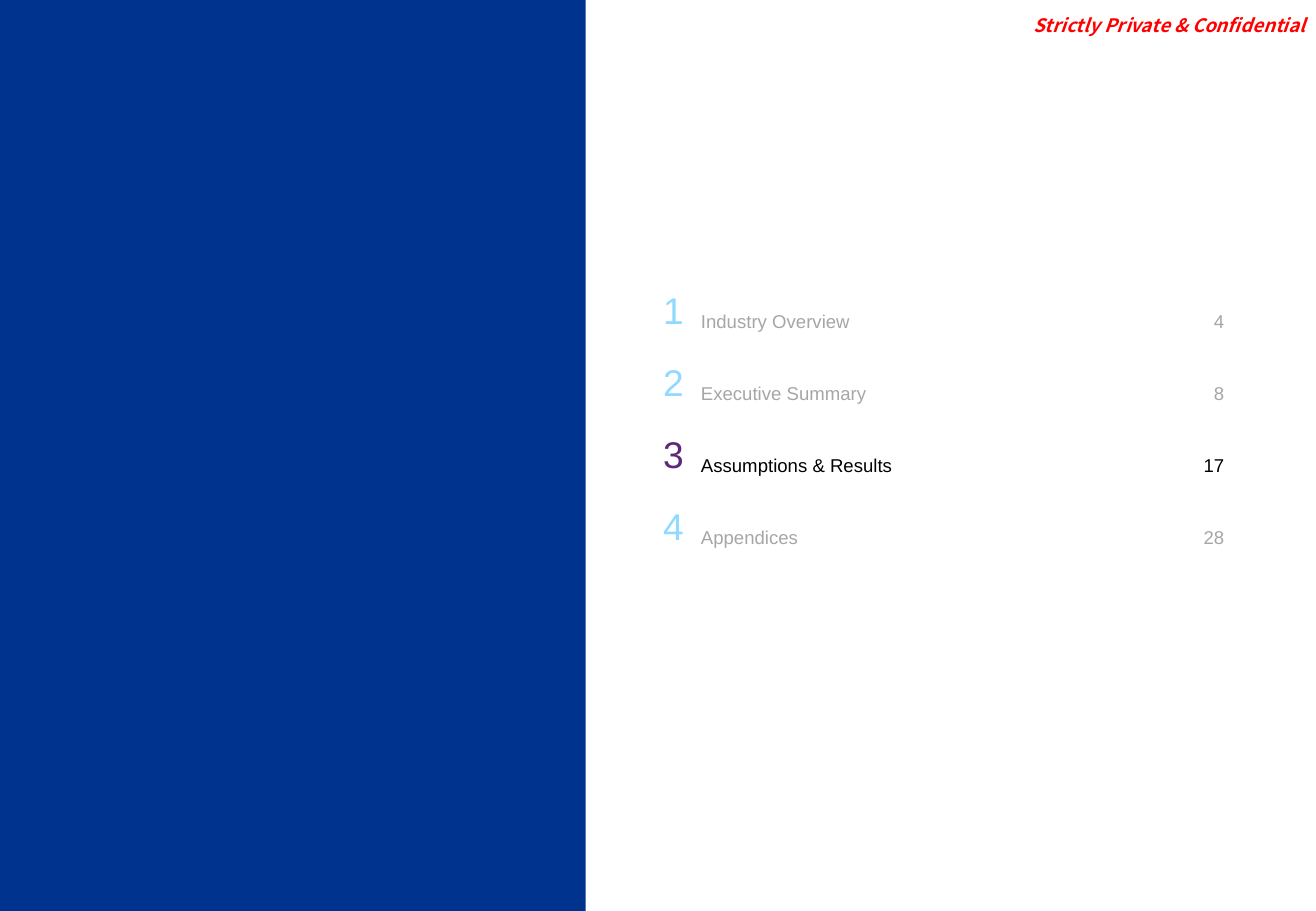
from pptx import Presentation
from pptx.dml.color import RGBColor as RGB
from pptx.enum.shapes import MSO_SHAPE as Shape
from pptx.enum.text import MSO_ANCHOR as Anchor, PP_ALIGN as Align
from pptx.util import Pt

# Content
notice = "Strictly Private & Confidential"
items = [
    ("1", "Industry Overview", "4"),
    ("2", "Executive Summary", "8"),
    ("3", "Assumptions & Results", "17"),
    ("4", "Appendices", "28"),
]
active = "3"

# Columns: width, size, alignment, insets, plain colour, active colour
cols = [
    (40.3, 22, Align.RIGHT, (7.2, 3.6, 7.2, 3.6), "90DAFF", "5D287A"),
    (285.1, 11, Align.LEFT, (3, 16, 0, 3.6), "A6A6A6", "000000"),
    (35.3, 11, Align.RIGHT, (7.2, 16, 7.2, 3.6), "A6A6A6", "000000"),
]
wide, high = 780, 540
row_h = 42.67


def color(code):
    return RGB.from_string(code)


def style(para, align, size, name, code):
    para.alignment = align
    font = para.runs[0].font
    font.size = Pt(size)
    font.name = name
    font.color.rgb = color(code)
    return font


def inset(box, sides):
    left, top, right, bottom = map(Pt, sides)
    box.margin_left, box.margin_top = left, top
    box.margin_right, box.margin_bottom = right, bottom


deck = Presentation()
deck.slide_width, deck.slide_height = Pt(wide), Pt(high)
slide = deck.slides.add_slide(deck.slide_layouts[6])

# Blue side panel
panel = slide.shapes.add_shape(Shape.RECTANGLE, 0, 0, Pt(347.2), Pt(high))
panel.shadow.inherit = False
panel.fill.solid()
panel.fill.fore_color.rgb = color("00338D")
panel.line.fill.background()

# Confidential notice
frame = slide.shapes.add_textbox(Pt(582), 0, Pt(195), Pt(39.6)).text_frame
frame.word_wrap = True
frame.vertical_anchor = Anchor.TOP
inset(frame, (0, 8, 3, 3))
frame.text = notice
font = style(frame.paragraphs[0], Align.RIGHT, 11, "Noto Sans CJK KR", "FF0000")
font.bold = font.italic = True

# Contents table
total = sum(col[0] for col in cols)
table = slide.shapes.add_table(len(items), len(cols), Pt(372.2), Pt(163.4),
                               Pt(total), Pt(row_h * len(items))).table
table.first_row = table.horz_banding = False
for c, col in enumerate(cols):
    table.columns[c].width = Pt(col[0])
for r, item in enumerate(items):
    table.rows[r].height = Pt(row_h)
    for c, (_, size, align, sides, plain, strong) in enumerate(cols):
        cell = table.cell(r, c)
        cell.fill.background()
        cell.vertical_anchor = Anchor.MIDDLE
        inset(cell, sides)
        cell.text_frame.text = item[c]
        code = strong if item[0] == active else plain
        style(cell.text_frame.paragraphs[0], align, size, "Arial", code)

deck.save("out.pptx")
